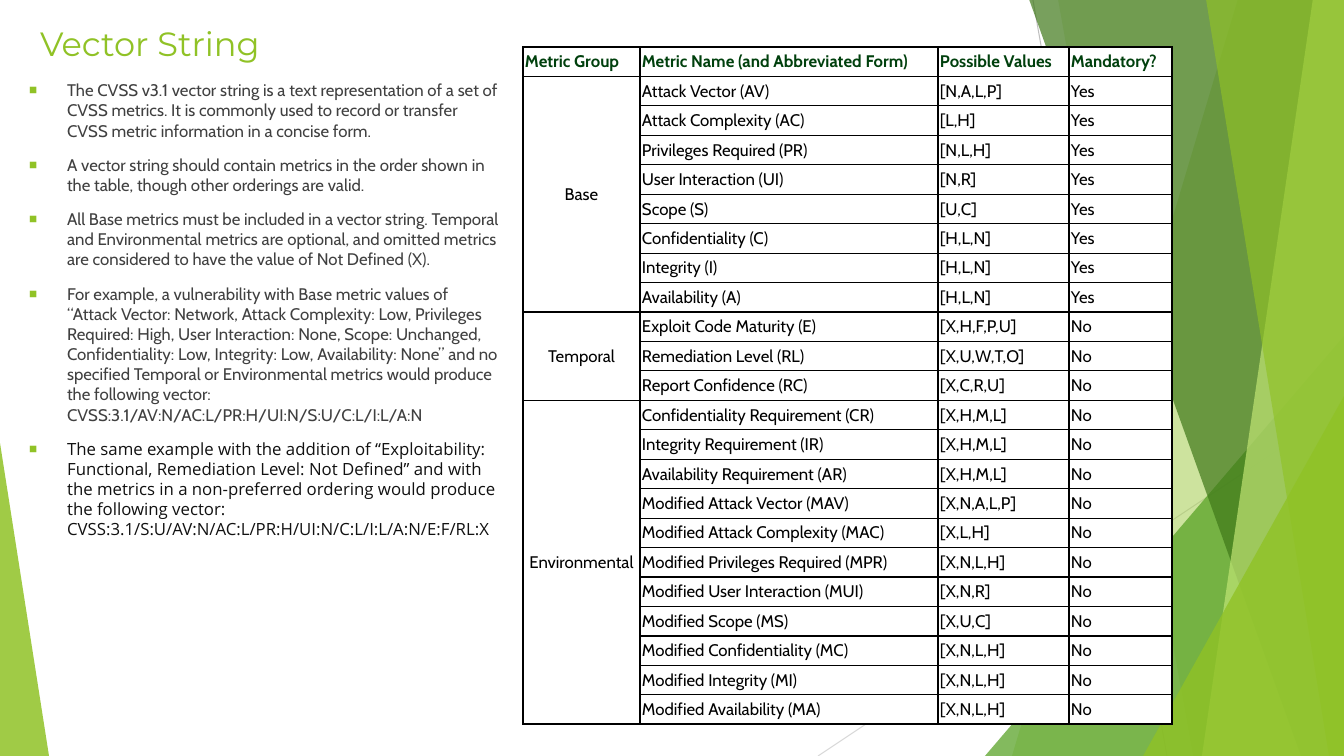
from typing import NamedTuple

from lxml import etree
from pptx import Presentation
from pptx import util as u
from pptx.dml.color import RGBColor
from pptx.enum import shapes, text
from pptx.oxml import ns

SLIDE_WIDTH, SLIDE_HEIGHT = 1344, 756
SCALE = 12192000 / SLIDE_WIDTH  # EMU per pixel

WHITE = RGBColor(0xFF, 0xFF, 0xFF)
BLACK = RGBColor(0x00, 0x00, 0x00)
BODY_GREY = RGBColor(0x40, 0x40, 0x40)
NEAR_BLACK = RGBColor(0x11, 0x11, 0x11)
LIGHT_GREY = RGBColor(0xD9, 0xD9, 0xD9)
MID_GREY = RGBColor(0xBF, 0xBF, 0xBF)
LIME = RGBColor(0x90, 0xC2, 0x26)
PALE_LIME = RGBColor(0xC0, 0xE4, 0x74)
GREEN = RGBColor(0x54, 0xA0, 0x21)
DARK_GREEN = RGBColor(0x3F, 0x78, 0x19)
HEADER_GREEN = RGBColor(0x00, 0x40, 0x0D)


class Box(NamedTuple):
    left: int
    top: int
    width: int
    height: int


class Ray(NamedTuple):
    start: tuple[int, int]
    end: tuple[int, int]
    colour: RGBColor


class Band(NamedTuple):
    """A sheet from a slanted left edge to the right edge of the slide."""
    top_left: int
    bottom_left: int
    colour: RGBColor
    opacity: int


class Triangle(NamedTuple):
    box: Box
    apex: int
    colour: RGBColor
    opacity: int


class Bullet(NamedTuple):
    wording: str
    font: str = "Cabin"
    colour: RGBColor = BODY_GREY


class MetricGroup(NamedTuple):
    name: str
    mandatory: str
    metrics: list[tuple[str, str]]


DECORATIONS = [
    Ray((1033, 0), (1167, 756), MID_GREY),
    Ray((1344, 406), (818, 756), LIGHT_GREY),
    Band(1238, 1012, LIME, 30),
    Band(1058, 1193, LIME, 20),
    Triangle(Box(985, 336, 359, 420), 1, GREEN, 72),
    Band(1029, 1301, DARK_GREEN, 70),
    Band(1313, 1202, PALE_LIME, 70),
    Band(1206, 1329, LIME, 65),
    Triangle(Box(1143, 396, 201, 360), 1, LIME, 80),
    Triangle(Box(0, 443, 49, 313), 0, LIME, 85),
]
TITLE_BOX = Box(30, 12, 411, 62)
BODY_BOX = Box(19, 75, 493, 622)
BULLET_INDENT = 38
BULLETS = [
    Bullet("The CVSS v3.1 vector string is a text representation of a set of CVSS metrics. "
           "It is commonly used to record or transfer CVSS metric information in a concise form."),
    Bullet("A vector string should contain metrics in the order shown in the table, "
           "though other orderings are valid."),
    Bullet("All Base metrics must be included in a vector string. Temporal and Environmental "
           "metrics are optional, and omitted metrics are considered to have the value of "
           "Not Defined (X)."),
    Bullet("For example, a vulnerability with Base metric values of “Attack Vector: Network, "
           "Attack Complexity: Low, Privileges Required: High, User Interaction: None, "
           "Scope: Unchanged, Confidentiality: Low, Integrity: Low, Availability: None” and no "
           "specified Temporal or Environmental metrics would produce the following vector:"
           "\vCVSS:3.1/AV:N/AC:L/PR:H/UI:N/S:U/C:L/I:L/A:N"),
    Bullet("The same example with the addition of “Exploitability: Functional, Remediation "
           "Level: Not Defined” and with the metrics in a non-preferred ordering would produce "
           "the following vector:\vCVSS:3.1/S:U/AV:N/AC:L/PR:H/UI:N/C:L/I:L/A:N/E:F/RL:X",
           "Open Sans", NEAR_BLACK),
]
TABLE_BOX = Box(523, 47, 649, 678)
COLUMN_WIDTHS = [117, 298, 131, 103]
HEADERS = ["Metric Group", "Metric Name (and Abbreviated Form)", "Possible Values", "Mandatory?"]
METRIC_GROUPS = [
    MetricGroup("Base", "Yes", [
        ("Attack Vector (AV)", "[N,A,L,P]"), ("Attack Complexity (AC)", "[L,H]"),
        ("Privileges Required (PR)", "[N,L,H]"), ("User Interaction (UI)", "[N,R]"),
        ("Scope (S)", "[U,C]"), ("Confidentiality (C)", "[H,L,N]"),
        ("Integrity (I)", "[H,L,N]"), ("Availability (A)", "[H,L,N]")]),
    MetricGroup("Temporal", "No", [
        ("Exploit Code Maturity (E)", "[X,H,F,P,U]"), ("Remediation Level (RL)", "[X,U,W,T,O]"),
        ("Report Confidence (RC)", "[X,C,R,U]")]),
    MetricGroup("Environmental", "No", [
        ("Confidentiality Requirement (CR)", "[X,H,M,L]"),
        ("Integrity Requirement (IR)", "[X,H,M,L]"),
        ("Availability Requirement (AR)", "[X,H,M,L]"),
        ("Modified Attack Vector (MAV)", "[X,N,A,L,P]"),
        ("Modified Attack Complexity (MAC)", "[X,L,H]"),
        ("Modified Privileges Required (MPR)", "[X,N,L,H]"),
        ("Modified User Interaction (MUI)", "[X,N,R]"), ("Modified Scope (MS)", "[X,U,C]"),
        ("Modified Confidentiality (MC)", "[X,N,L,H]"), ("Modified Integrity (MI)", "[X,N,L,H]"),
        ("Modified Availability (MA)", "[X,N,L,H]")]),
]


def emu(pixels: float) -> int:
    """Turn pixels into EMU."""
    return round(pixels * SCALE)


def add_xml(parent, tag: str, **attributes):
    """Append a DrawingML element and return it."""
    return etree.SubElement(parent, ns.qn(tag), attributes)


def format_runs(paragraph, font: str, size: int, colour: RGBColor, bold: bool = False) -> None:
    """Give every run of a paragraph the same font."""
    for run in paragraph.runs:
        run.font.name, run.font.size, run.font.bold = font, u.Pt(size), bold
        run.font.color.rgb = colour


def paint(shape, colour: RGBColor, opacity: int) -> None:
    """Fill a shape with a translucent colour, without outline or shadow."""
    shape.shadow.inherit = False
    shape.line.fill.background()
    shape.fill.solid()
    shape.fill.fore_color.rgb = colour
    add_xml(shape.element.spPr.find(".//" + ns.qn("a:srgbClr")), "a:alpha", val=str(opacity * 1000))


def add_decoration(slide, item: Ray | Band | Triangle) -> None:
    """Draw one ray, band or triangle of the background."""
    if isinstance(item, Ray):
        line = slide.shapes.add_connector(
            shapes.MSO_CONNECTOR.STRAIGHT, *map(emu, item.start + item.end))
        line.line.color.rgb, line.line.width = item.colour, u.Pt(0.75)
        add_xml(line.element.spPr, "a:effectLst")
        return
    if isinstance(item, Band):
        builder = slide.shapes.build_freeform(item.top_left, -1, scale=SCALE)
        builder.add_line_segments([(SLIDE_WIDTH, -1), (SLIDE_WIDTH, SLIDE_HEIGHT),
                                   (item.bottom_left, SLIDE_HEIGHT)], close=True)
        shape = builder.convert_to_shape()
    else:
        shape = slide.shapes.add_shape(
            shapes.MSO_SHAPE.ISOSCELES_TRIANGLE, *map(emu, item.box))
        shape.adjustments[0] = item.apex
    paint(shape, item.colour, item.opacity)


def place(placeholder, box: Box, anchor: text.MSO_ANCHOR):
    """Move a placeholder in front of the decorations and return its text frame."""
    placeholder.left, placeholder.top, placeholder.width, placeholder.height = map(emu, box)
    placeholder.element.getparent().append(placeholder.element)
    frame = placeholder.text_frame
    frame.word_wrap, frame.auto_size = True, text.MSO_AUTO_SIZE.NONE
    frame.vertical_anchor = anchor
    return frame


def add_bullet(paragraph, bullet: Bullet) -> None:
    """Write one list item with its square bullet."""
    paragraph.text = bullet.wording
    paragraph.space_before = u.Pt(10)
    format_runs(paragraph, bullet.font, 12, bullet.colour)
    properties = paragraph._p.get_or_add_pPr()
    properties.set("marL", str(emu(BULLET_INDENT)))
    properties.set("indent", str(-emu(BULLET_INDENT)))
    add_xml(add_xml(properties, "a:buClr"), "a:srgbClr", val=str(LIME))
    add_xml(properties, "a:buSzPct", val="80000")
    add_xml(properties, "a:buFont", typeface="Arial")
    add_xml(properties, "a:buChar", char="■")


def format_cell(cell, wording: str, header: bool, centred: bool, outer: dict[str, bool]) -> None:
    """Write a cell; borders on the table's outer edge are heavier."""
    cell.text = wording
    cell.vertical_anchor = text.MSO_ANCHOR.MIDDLE
    cell.margin_left = cell.margin_right = emu(2)
    cell.margin_top = cell.margin_bottom = emu(1)
    paragraph = cell.text_frame.paragraphs[0]
    paragraph.alignment = text.PP_ALIGN.CENTER if centred else text.PP_ALIGN.LEFT
    format_runs(paragraph, "Cabin", 12, HEADER_GREEN if header else BLACK, header)
    for side, is_outer in outer.items():
        border = add_xml(cell._tc.get_or_add_tcPr(), f"a:ln{side}",
                         w=str(u.Pt(1.5 if is_outer else 1)))
        add_xml(add_xml(border, "a:solidFill"), "a:srgbClr", val=str(BLACK))
    cell.fill.solid()
    cell.fill.fore_color.rgb = WHITE


def add_metric_table(slide) -> None:
    """Build the metric table, merging the first column over each group."""
    rows = [HEADERS]
    for group in METRIC_GROUPS:
        for index, (name, values) in enumerate(group.metrics):
            rows.append([group.name if index == 0 else "", name, values, group.mandatory])
    table = slide.shapes.add_table(len(rows), len(HEADERS), *map(emu, TABLE_BOX)).table
    table.first_row = table.horz_banding = False
    for column, width in zip(table.columns, COLUMN_WIDTHS):
        column.width = emu(width)
    for row in table.rows:
        row.height = emu(TABLE_BOX.height / len(rows))
    first = 1
    for group in METRIC_GROUPS:
        last = first + len(group.metrics) - 1
        table.cell(first, 0).merge(table.cell(last, 0))
        first = last + 1
    for r, row in enumerate(rows):
        for c, wording in enumerate(row):
            cell = table.cell(r, c)
            outer = {"L": c == 0, "R": c == len(HEADERS) - 1,
                     "T": r == 0, "B": r + cell.span_height == len(rows)}
            format_cell(cell, wording, r == 0, r > 0 and c == 0, outer)


def main() -> None:
    """Build the slide and save it."""
    presentation = Presentation()
    presentation.slide_width, presentation.slide_height = emu(SLIDE_WIDTH), emu(SLIDE_HEIGHT)
    slide = presentation.slides.add_slide(presentation.slide_layouts[1])
    for item in DECORATIONS:
        add_decoration(slide, item)
    title = place(slide.shapes.title, TITLE_BOX, text.MSO_ANCHOR.MIDDLE)
    title.text = "Vector String"
    title.paragraphs[0].alignment = text.PP_ALIGN.LEFT
    format_runs(title.paragraphs[0], "Montserrat", 24, LIME)
    body = place(slide.placeholders[1], BODY_BOX, text.MSO_ANCHOR.TOP)
    for index, bullet in enumerate(BULLETS):
        add_bullet(body.add_paragraph() if index else body.paragraphs[0], bullet)
    add_metric_table(slide)
    presentation.save("out.pptx")


main()
